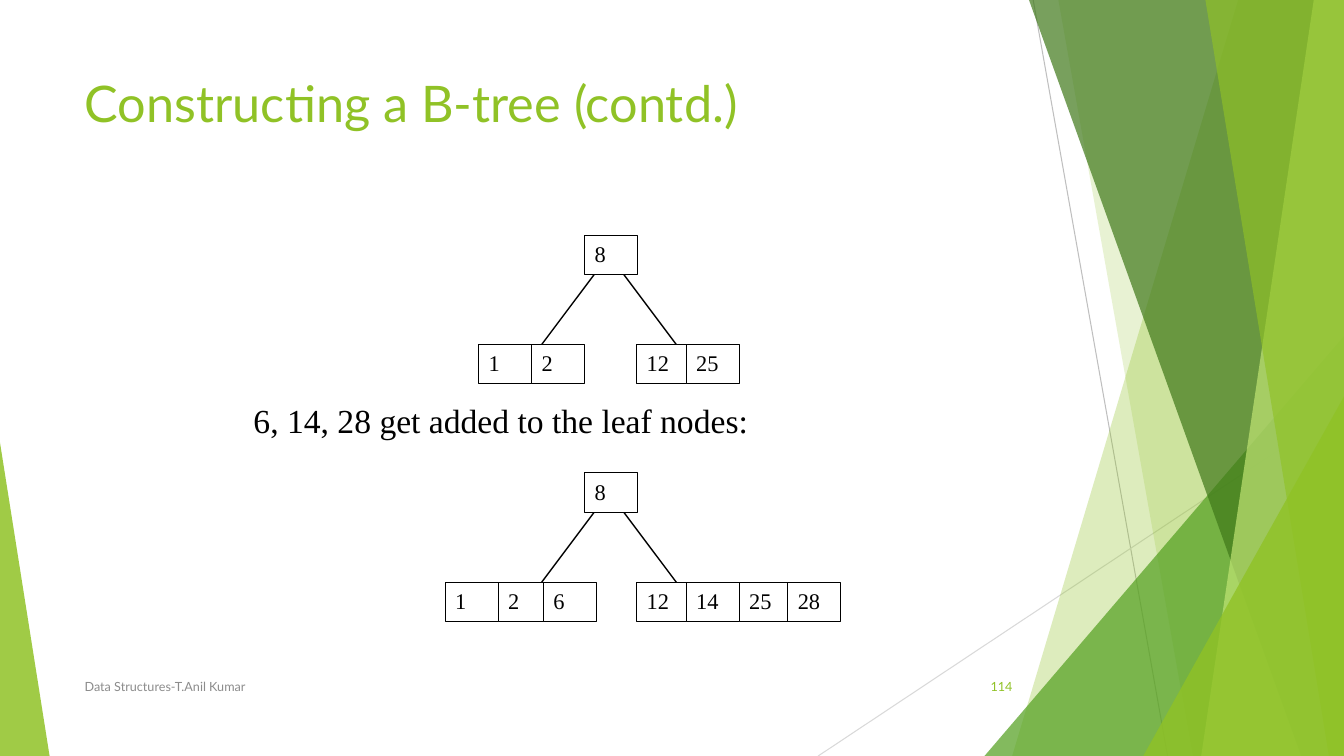
from dataclasses import dataclass

from lxml.etree import SubElement
from pptx import Presentation
from pptx.dml.color import RGBColor
from pptx.enum.shapes import MSO_CONNECTOR, MSO_SHAPE
from pptx.enum.text import MSO_ANCHOR, PP_ALIGN
from pptx.oxml.ns import qn
from pptx.util import Inches, Pt


@dataclass(frozen=True)
class Theme:
    sans: str = "Lato"
    serif: str = "Times New Roman"
    lime: str = "90C226"
    leaf: str = "54A021"
    moss: str = "3F7819"
    pale: str = "C0E474"
    ink: str = "000000"
    paper: str = "FFFFFF"
    gray: str = "8C8C8C"
    mid: str = "BFBFBF"
    light: str = "D9D9D9"
    head: int = 36
    note: int = 24
    key: int = 16
    foot: int = 9
    thin: float = 0.75
    edge: float = 1


LOOK = Theme()

# All lengths are cells of a grid of 160 columns by 90 rows.
COLS, ROWS = 160, 90

TITLE = "Constructing a B-tree (contd.)"
NOTE = "6, 14, 28 get added to the leaf nodes:"
FOOTER = "Data Structures-T.Anil Kumar"
NUMBER = "114"

# Each tree: top row, root key, then leaf keys with their left columns
TREES = [
    (28, "8", [("1", 57), ("2", 63.3), ("12", 75.8), ("25", 81.7)]),
    (56.3, "8", [("1", 53), ("2", 59.3), ("6", 64.7),
                 ("12", 75.8), ("14", 81.7), ("25", 88), ("28", 93.8)]),
]
ROOT = 69.6
CELL = (6.3, 4.7)
LEVEL = 13
EDGES = [(72, 63), (73, 82)]
EDGE_ROWS = (3, 15)

RAYS = [((123, 0), (139, ROWS), LOOK.mid),
        ((COLS, 48.4), (97.4, ROWS), LOOK.light)]

# Bands reach the right edge: top column, foot column, colour, opacity.
# Wedges stand on the foot: left, top, width, tip, colour, opacity.
FACETS = [
    (147.4, 120.5, LOOK.lime, 30),
    (126, 142, LOOK.lime, 20),
    (117.2, 40, 42.8, 1, LOOK.leaf, 72),
    (122.5, 154.9, LOOK.moss, 70),
    (156.4, 143, LOOK.pale, 70),
    (143.5, 158.2, LOOK.lime, 65),
    (136.1, 47.2, 23.9, 1, LOOK.lime, 80),
    (0, 52.7, 5.9, 0, LOOK.lime, 85),
]

deck = Presentation()
deck.slide_width, deck.slide_height = Inches(13.33), Inches(7.5)
slide = deck.slides.add_slide(deck.slide_layouts[5])
shapes = slide.shapes


def grid(*cells):
    """Turn column, row, column, row... into slide lengths."""
    sides = (deck.slide_width / COLS, deck.slide_height / ROWS)
    return [round(n * sides[i % 2]) for i, n in enumerate(cells)]


def paint(shape, color, alpha=100):
    shape.shadow.inherit = False
    shape.fill.solid()
    shape.fill.fore_color.rgb = RGBColor.from_string(color)
    if alpha < 100:
        tint = shape.fill._xPr.find(qn("a:solidFill"))[0]
        SubElement(tint, qn("a:alpha")).set("val", str(alpha * 1000))


def write(shape, text, font, size, color, anchor=MSO_ANCHOR.TOP,
          align=PP_ALIGN.LEFT):
    frame = shape.text_frame
    frame.text = text
    frame.word_wrap = True
    frame.vertical_anchor = anchor
    line = frame.paragraphs[0]
    line.alignment = align
    style = line.runs[0].font
    style.name, style.size = font, Pt(size)
    style.color.rgb = RGBColor.from_string(color)


def label(box, *style):
    write(shapes.add_textbox(*grid(*box)), *style)


def rule(start, end, color, width):
    line = shapes.add_connector(MSO_CONNECTOR.STRAIGHT, *grid(*start, *end))
    line.line.color.rgb = RGBColor.from_string(color)
    line.line.width = Pt(width)
    SubElement(line._element.spPr, qn("a:effectLst"))


def band(top, foot):
    pen = shapes.build_freeform(*grid(top, 0), scale=1.0)
    corners = [(COLS, 0), (COLS, ROWS), (foot, ROWS)]
    pen.add_line_segments([grid(*spot) for spot in corners], close=True)
    return pen.convert_to_shape()


def wedge(left, top, width, tip):
    shape = shapes.add_shape(MSO_SHAPE.ISOSCELES_TRIANGLE,
                             *grid(left, top, width, ROWS - top))
    shape.adjustments[0] = tip
    return shape


def cell(key, left, top):
    box = shapes.add_shape(MSO_SHAPE.RECTANGLE, *grid(left, top, *CELL))
    paint(box, LOOK.paper)
    box.line.color.rgb = RGBColor.from_string(LOOK.ink)
    box.line.width = Pt(LOOK.thin)
    write(box, key, LOOK.serif, LOOK.key, LOOK.ink)


def tree(top, root, leaves):
    for start, end in EDGES:
        rule((start, top + EDGE_ROWS[0]), (end, top + EDGE_ROWS[1]),
             LOOK.ink, LOOK.edge)
    cell(root, ROOT, top)
    for key, left in leaves:
        cell(key, left, top + LEVEL)


for start, end, color in RAYS:
    rule(start, end, color, LOOK.thin)
for *form, color, alpha in FACETS:
    facet = band(*form) if len(form) == 2 else wedge(*form)
    paint(facet, color, alpha)
    facet.line.fill.background()

title = shapes.title
title.left, title.top, title.width, title.height = grid(8.9, 8, 112.8, 17.3)
write(title, TITLE, LOOK.sans, LOOK.head, LOOK.lime)

label((8.9, 79.3, 82.7, 4.8), FOOTER, LOOK.sans, LOOK.foot, LOOK.gray,
      MSO_ANCHOR.MIDDLE)
label((112.7, 79.3, 9, 4.8), NUMBER, LOOK.sans, LOOK.foot, LOOK.lime,
      MSO_ANCHOR.MIDDLE, PP_ALIGN.RIGHT)
label((29, 47, 103, 6), NOTE, LOOK.serif, LOOK.note, LOOK.ink)
for plan in TREES:
    tree(*plan)

deck.save("out.pptx")
